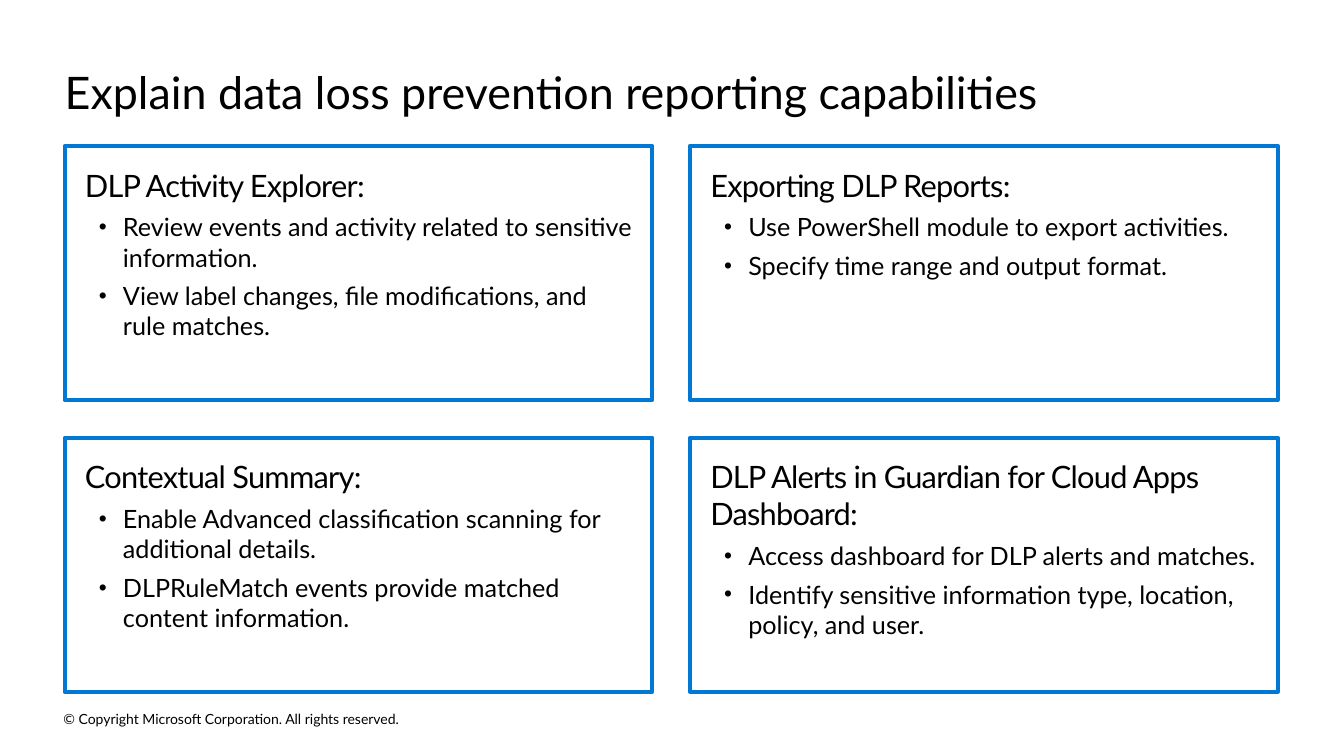
import lxml.etree
import pptx
import pptx.dml.color
import pptx.enum.shapes
import pptx.enum.text
import pptx.oxml.ns
import pptx.util

Cm = pptx.util.Cm
Pt = pptx.util.Pt

CARDS = [
    ("DLP Activity Explorer:", [
        "Review events and activity related to sensitive information.",
        "View label changes, file modifications, and\vrule matches."]),
    ("Exporting DLP Reports:", [
        "Use PowerShell module to export activities.",
        "Specify time range and output format."]),
    ("Contextual Summary:", [
        "Enable Advanced classification scanning for additional details.",
        "DLPRuleMatch events provide matched content information."]),
    ("DLP Alerts in Guardian for Cloud Apps Dashboard:", [
        "Access dashboard for DLP alerts and matches.",
        "Identify sensitive information type, location, policy, and user."]),
]


def color(hex_string):
    return pptx.dml.color.RGBColor.from_string(hex_string)


class SlideBuilder:
    """Holds the deck style and the slide being built."""

    font_name = "Lato"
    text_color = "000000"
    border_color = "0078D4"

    def __init__(self, slide):
        self.slide = slide

    def place(self, shape, left, top, width, height):
        shape.left, shape.top = Cm(left), Cm(top)
        shape.width, shape.height = Cm(width), Cm(height)

    def prepare_frame(self, shape, inset, anchor):
        frame = shape.text_frame
        frame.word_wrap = True
        frame.auto_size = pptx.enum.text.MSO_AUTO_SIZE.NONE
        frame.vertical_anchor = anchor
        frame.margin_left = frame.margin_right = Cm(inset)
        frame.margin_top = frame.margin_bottom = Cm(inset)
        return frame

    def format_paragraph(self, paragraph, size, spacing=0):
        paragraph.alignment = pptx.enum.text.PP_ALIGN.LEFT
        for run in paragraph.runs:
            run.font.name = self.font_name
            run.font.size = Pt(size)
            run.font.color.rgb = color(self.text_color)
            if spacing:
                run.font._element.set("spc", str(round(spacing * 100)))

    def add_bullet(self, paragraph):
        properties = paragraph._p.get_or_add_pPr()
        properties.set("marL", str(Cm(0.96)))
        properties.set("indent", str(Cm(-0.61)))
        for tag, name, value in (("a:buSzPct", "val", "90000"),
                                 ("a:buFont", "typeface", "Arial"),
                                 ("a:buChar", "char", "•")):
            element = lxml.etree.SubElement(properties, pptx.oxml.ns.qn(tag))
            element.set(name, value)

    def title(self, text, *box):
        shape = self.slide.shapes.title
        self.place(shape, *box)
        frame = self.prepare_frame(shape, 0, pptx.enum.text.MSO_ANCHOR.TOP)
        frame.text = text
        self.format_paragraph(frame.paragraphs[0], 32)

    def label(self, text, size, *box):
        shape = self.slide.shapes.add_textbox(*map(Cm, box))
        frame = self.prepare_frame(shape, 0, pptx.enum.text.MSO_ANCHOR.MIDDLE)
        frame.text = text
        self.format_paragraph(frame.paragraphs[0], size)

    def card(self, heading, bullets, *box):
        shape = self.slide.shapes.add_shape(
            pptx.enum.shapes.MSO_SHAPE.RECTANGLE, *map(Cm, box))
        shape.shadow.inherit = False
        shape.fill.background()
        shape.line.color.rgb = color(self.border_color)
        shape.line.width = Pt(3)
        frame = self.prepare_frame(shape, 0.51, pptx.enum.text.MSO_ANCHOR.TOP)
        frame.text = heading
        frame.paragraphs[0].space_after = Pt(4)
        self.format_paragraph(frame.paragraphs[0], 22, -0.5)
        for bullet in bullets:
            paragraph = frame.add_paragraph()
            paragraph.text = bullet
            self.add_bullet(paragraph)
            paragraph.space_before = Pt(2)
            paragraph.space_after = Pt(4)
            self.format_paragraph(paragraph, 18)


def main():
    presentation = pptx.Presentation()
    presentation.slide_width = Cm(33.87)
    presentation.slide_height = Cm(19.05)
    title_only = presentation.slide_layouts[5]
    builder = SlideBuilder(presentation.slides.add_slide(title_only))

    left, top, width, height, gap = 1.63, 3.68, 14.81, 6.4, 0.95
    builder.label("© Copyright Microsoft Corporation. All rights reserved.",
                  10, 1.6, 17.83, 11.53, 0.56)
    builder.title("Explain data loss prevention reporting capabilities",
                  left, 1.63, 2 * width + gap, 1.37)
    for index, (heading, bullets) in enumerate(CARDS):
        row, column = divmod(index, 2)
        builder.card(heading, bullets, left + column * (width + gap),
                     top + row * (height + gap), width, height)

    presentation.save("out.pptx")


if __name__ == "__main__":
    main()
